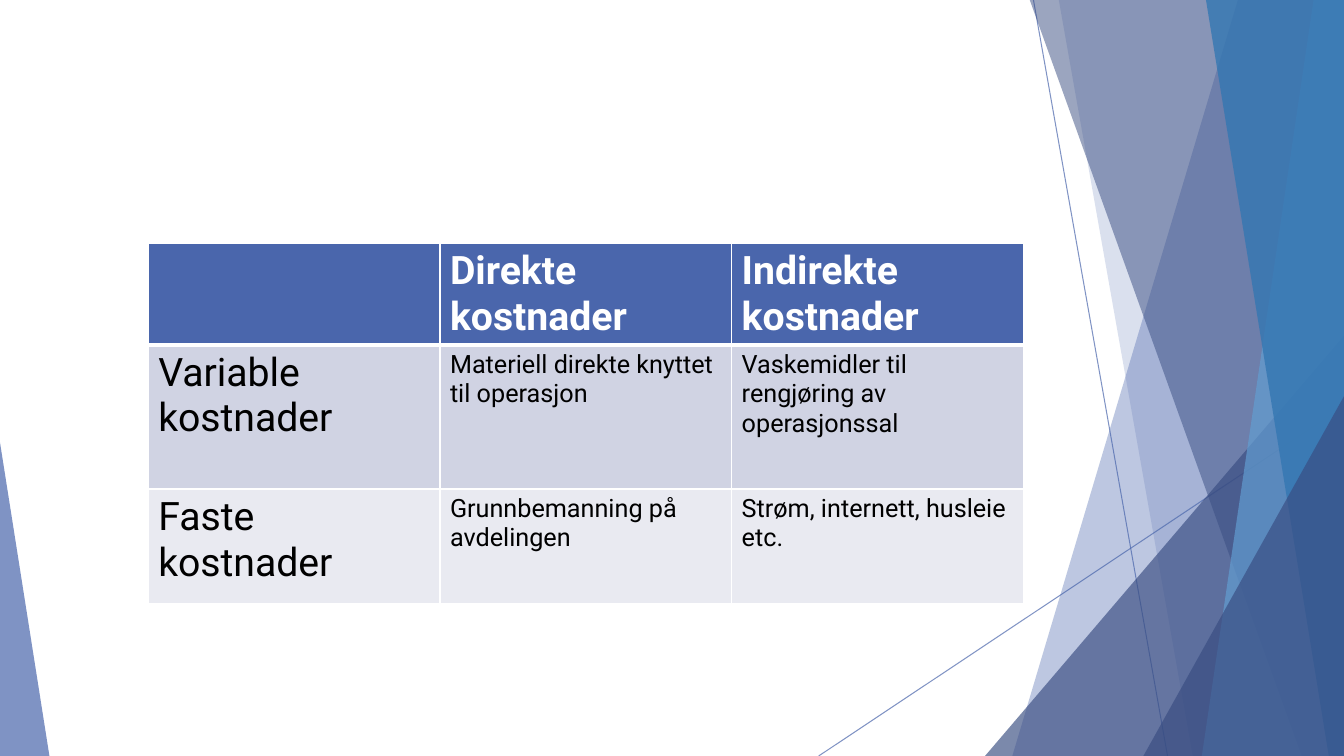
import pptx
import pptx.enum.shapes
import pptx.dml.color
import pptx.oxml
import pptx.oxml.ns
import pptx.util
import lxml.etree

GRID = pptx.util.Inches(0.01)
COLUMNS, ROWS = 1333, 750
BLUE, NAVY, WHITE, BLACK = "4A66AC", "384C81", "FFFFFF", "000000"
FONT = "Roboto"


def paint(fill, colour, owner=None, opacity=100):
    fill.solid()
    fill.fore_color.rgb = pptx.dml.color.RGBColor.from_string(colour)
    if opacity < 100:
        node = owner.xpath(".//a:srgbClr")[0]
        alpha = lxml.etree.SubElement(node, pptx.oxml.ns.qn("a:alpha"))
        alpha.set("val", str(opacity * 1000))


def add_border(cell, side, colour, points):
    namespace = pptx.oxml.ns.nsdecls("a")
    cell_properties = cell._tc.get_or_add_tcPr()
    cell_properties.append(pptx.oxml.parse_xml(
        f'<a:{side} {namespace} w="{pptx.util.Pt(points)}"><a:solidFill>'
        f'<a:srgbClr val="{colour}"/></a:solidFill></a:{side}>'))


presentation = pptx.Presentation()
presentation.slide_width = COLUMNS * GRID
presentation.slide_height = ROWS * GRID
slide = presentation.slides.add_slide(presentation.slide_layouts[6])
paint(slide.background.fill, WHITE)

thin_lines = [(1025, 0, 1158, ROWS), (COLUMNS, 403, 812, ROWS)]
for ends in thin_lines:
    line = slide.shapes.add_connector(
        pptx.enum.shapes.MSO_CONNECTOR.STRAIGHT, *[end * GRID for end in ends])
    line.line.width = pptx.util.Pt(0.75)
    paint(line.line.fill, BLUE, line.element, 70)
    lxml.etree.SubElement(line.element.spPr, pptx.oxml.ns.qn("a:effectLst"))

facets = [
    ("band", 1228, 1004, BLUE, 36),
    ("band", 1050, 1183, BLUE, 20),
    ("triangle", (977, 333, 356, 417), 1, NAVY, 66),
    ("band", 1021, 1291, NAVY, 50),
    ("band", 1303, 1192, "629DD1", 70),
    ("band", 1196, 1318, "3477B2", 80),
    ("triangle", (1134, 393, 199, 357), 1, NAVY, 66),
    ("triangle", (0, 439, 49, 311), 0, BLUE, 70),
]
for kind, first, second, colour, opacity in facets:
    if kind == "band":
        builder = slide.shapes.build_freeform(first, -1, scale=GRID)
        builder.add_line_segments(
            [(COLUMNS, -1), (COLUMNS, ROWS), (second, ROWS)], close=True)
        facet = builder.convert_to_shape()
    else:
        facet = slide.shapes.add_shape(
            pptx.enum.shapes.MSO_SHAPE.ISOSCELES_TRIANGLE,
            *[length * GRID for length in first])
        facet.adjustments[0] = second
    facet.shadow.inherit = False
    facet.line.fill.background()
    paint(facet.fill, colour, facet.element, opacity)

costs = [
    ["", "Direkte kostnader", "Indirekte kostnader"],
    ["Variable kostnader", "Materiell direkte knyttet til operasjon",
     "Vaskemidler til rengjøring av operasjonssal"],
    ["Faste kostnader", "Grunnbemanning på avdelingen",
     "Strøm, internett, husleie etc."],
]
row_heights = [101, 143, 114]
row_fills = [BLUE, "D0D3E3", "E9EAF1"]
table = slide.shapes.add_table(
    len(costs), len(costs[0]), 147 * GRID, 241 * GRID,
    868 * GRID, sum(row_heights) * GRID).table
for column in table.columns:
    column.width = 868 * GRID // len(costs[0])
for row_index, texts in enumerate(costs):
    table.rows[row_index].height = row_heights[row_index] * GRID
    for column_index, text in enumerate(texts):
        cell = table.cell(row_index, column_index)
        header = row_index == 0
        for side in ("lnL", "lnR", "lnT", "lnB"):
            heavy = (row_index, side) in ((0, "lnB"), (1, "lnT"))
            add_border(cell, side, WHITE, 3 if heavy else 1)
        paint(cell.fill, row_fills[row_index])
        if text:
            run = cell.text_frame.paragraphs[0].add_run()
            run.text = text
            run.font.name = FONT
            run.font.size = pptx.util.Pt(28 if header or column_index == 0 else 18)
            run.font.bold = header
            paint(run.font.fill, WHITE if header else BLACK)

presentation.save("out.pptx")
